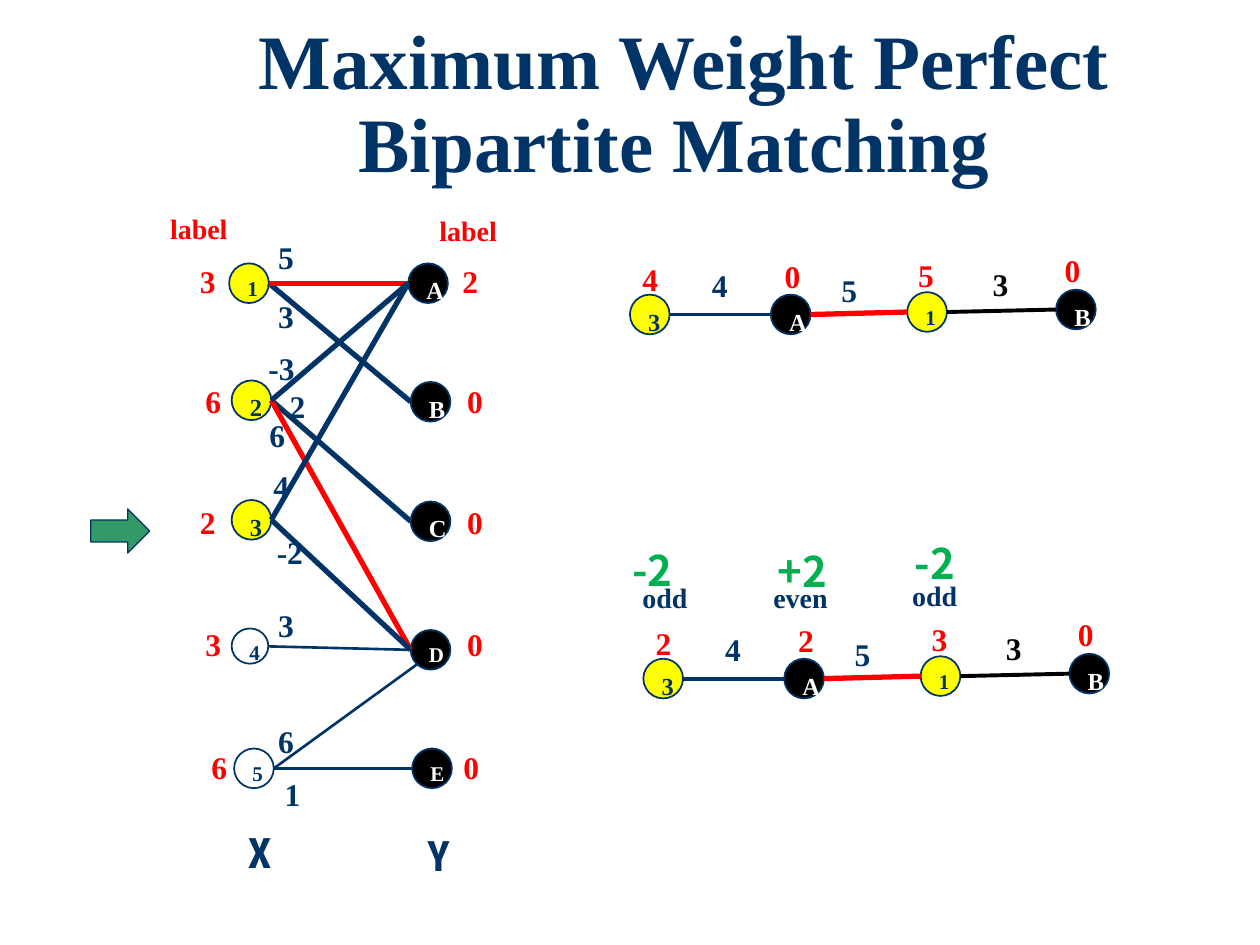
"""Build a slide on maximum weight perfect bipartite matching with its labelled graph and paths."""
import pptx
import pptx.dml.color
import pptx.enum.shapes
import pptx.enum.text
import pptx.oxml.ns
import pptx.util
from lxml import etree

Cm = pptx.util.Cm
Pt = pptx.util.Pt
COLORS = {"navy": "003366", "red": "FF0000", "black": "000000", "white": "FFFFFF",
          "yellow": "FFFF00", "green": "00B050", "arrow": "339966"}
RGB = {name: pptx.dml.color.RGBColor.from_string(value) for name, value in COLORS.items()}
SERIF = "Times New Roman"
NODE = 0.8


def write(shape, text, size, color, font=SERIF, wrap=False):
    frame = shape.text_frame
    frame.word_wrap = wrap
    frame.vertical_anchor = pptx.enum.text.MSO_ANCHOR.TOP
    paragraph = frame.paragraphs[0]
    paragraph.text = text
    paragraph.alignment = pptx.enum.text.PP_ALIGN.LEFT
    paragraph.font.size = Pt(size)
    paragraph.font.name = font
    paragraph.font.bold = True
    paragraph.font.color.rgb = RGB[color]
    return frame


def connect(start, end, color, width):
    line = slide.shapes.add_connector(pptx.enum.shapes.MSO_CONNECTOR.STRAIGHT,
                                      *[Cm(value) for value in (*start, *end)])
    line.line.color.rgb = RGB[color]
    line.line.width = Pt(width)
    etree.SubElement(line._element.spPr, pptx.oxml.ns.qn("a:effectLst"))


presentation = pptx.Presentation()
presentation.slide_width = Cm(25.4)
presentation.slide_height = Cm(19.05)
slide = presentation.slides.add_slide(presentation.slide_layouts[5])

title = slide.shapes.title
title.left, title.top, title.width, title.height = Cm(3.63), Cm(0.33), Cm(20.32), Cm(2.34)
title_frame = write(title, "Maximum Weight Perfect Bipartite Matching\u00a0".replace("\u00a0", " "), 44, "navy", wrap=True)
title_frame.auto_size = pptx.enum.text.MSO_AUTO_SIZE.NONE
title_frame.paragraphs[0].alignment = pptx.enum.text.PP_ALIGN.CENTER
title_frame.paragraphs[0].line_spacing = 0.9

# name, left, top, fill, text size
nodes = [
    ("1", 4.62, 5.31, "yellow", 12), ("A", 8.23, 5.31, "black", 14),
    ("2", 4.67, 7.67, "yellow", 14), ("B", 8.28, 7.7, "black", 14),
    ("3", 4.67, 10.08, "yellow", 14), ("C", 8.28, 10.11, "black", 14),
    ("4", 4.67, 12.67, "white", 12), ("D", 8.28, 12.7, "black", 12),
    ("5", 4.72, 15.09, "white", 12), ("E", 8.31, 15.09, "black", 12),
]
path_nodes = [("3", 12.7, 5.94, "yellow", 14), ("A", 15.54, 5.94, "black", 14),
              ("1", 18.29, 5.89, "yellow", 12), ("B", 21.29, 5.84, "black", 14)]
path_edges = [("navy", 2.25), ("red", 3), ("black", 2.25)]
path_weights = [("4", 14.1, 5.23, "navy"), ("5", 16.71, 5.33, "navy"), ("3", 19.76, 5.21, "black")]
path_label_spots = [(12.7, 5.11), (15.57, 5.05), (18.26, 5.03), (21.21, 4.93)]
paths = [(0, 0, "4050"), (0.27, 7.34, "2230")]

shifted_nodes = [(name, left + dx, top + dy, fill, size)
                 for dx, dy, labels in paths for name, left, top, fill, size in path_nodes]
for name, left, top, fill, size in nodes + shifted_nodes:
    width, height = (0.74, 0.71) if name == "4" else (NODE, NODE)
    node = slide.shapes.add_shape(pptx.enum.shapes.MSO_SHAPE.OVAL, Cm(left), Cm(top), Cm(width), Cm(height))
    node.shadow.inherit = False
    node.fill.solid()
    node.fill.fore_color.rgb = RGB[fill]
    node.line.color.rgb = RGB["navy"]
    node.line.width = Pt(1)
    write(node, name, size, "white" if fill == "black" else "navy")

ports = {name: (left + (NODE if name.isdigit() else 0), top + NODE / 2)
         for name, left, top, fill, size in nodes}
ports["4"] = (5.41, 13.03)
ports["D corner"] = (8.41, 13.39)
for start, end, color, width in [
    ("1", "B", "navy", 3), ("2", "C", "navy", 3), ("2", "D", "red", 3), ("3", "D", "navy", 3),
    ("3", "A", "navy", 3), ("4", "D", "navy", 1.5), ("5", "D corner", "navy", 1.5),
    ("5", "E", "navy", 1.5), ("1", "A", "red", 3), ("2", "A", "navy", 3),
]:
    connect(ports[start], ports[end], color, width)

weights = [("5", 5.36, 4.67), ("3", 5.36, 5.87), ("-3", 5.16, 6.91), ("2", 5.59, 7.67),
           ("6", 5.18, 8.26), ("4", 5.26, 9.3), ("-2", 5.33, 10.62), ("3", 5.36, 12.09),
           ("6", 5.36, 14.43), ("1", 5.49, 15.49)]
texts = [(text, left, top, 1.04 if len(text) > 1 else 0.84, 18, "navy", SERIF)
         for text, left, top in weights]
for top, x_label, x_left, y_label, y_left in [
    (5.16, "3", 3.78, "2", 9.07), (7.57, "6", 3.89, "0", 9.17), (10.01, "2", 3.78, "0", 9.17),
    (12.47, "3", 3.89, "0", 9.17), (14.96, "6", 4.01, "0", 9.09),
]:
    texts += [(x_label, x_left, top, 0.84, 18, "red", SERIF), (y_label, y_left, top, 0.84, 18, "red", SERIF)]
texts += [
    ("label", 3.18, 4.14, 1.68, 16, "red", SERIF), ("label", 8.61, 4.19, 1.68, 16, "red", SERIF),
    ("X", 4.75, 16.54, 1.02, 24, "navy", "Roboto Condensed"),
    ("Y", 8.36, 16.59, 0.99, 24, "navy", "Roboto Condensed"),
    ("-2", 18.19, 10.72, 1.7, 24, "green", "Noto Sans CJK KR"),
    ("+2", 15.42, 10.87, 1.52, 24, "green", "Noto Sans CJK KR"),
    ("-2", 12.5, 10.85, 1.7, 24, "green", "Noto Sans CJK KR"),
    ("odd", 18.14, 11.53, 1.42, 16, "navy", SERIF), ("even", 15.34, 11.58, 1.63, 16, "navy", SERIF),
    ("odd", 12.7, 11.58, 1.42, 16, "navy", SERIF),
]
for dx, dy, labels in paths:
    for first, second, (color, width) in zip(path_nodes, path_nodes[1:], path_edges):
        connect((first[1] + dx + NODE, first[2] + dy + NODE / 2),
                (second[1] + dx, second[2] + dy + NODE / 2), color, width)
    texts += [(label, left + dx, top + dy, 0.84, 18, "red", SERIF)
              for label, (left, top) in zip(labels, path_label_spots)]
    texts += [(text, left + dx, top + dy, 0.71 if color == "black" else 0.84, 18, color, SERIF)
              for text, left, top, color in path_weights]

heights = {16: 0.94, 18: 1.02, 24: 1.27}
for text, left, top, width, size, color, font in texts:
    box = slide.shapes.add_textbox(Cm(left), Cm(top), Cm(width), Cm(heights[size]))
    frame = write(box, text, size, color, font, wrap=color == "black")
    frame.auto_size = pptx.enum.text.MSO_AUTO_SIZE.SHAPE_TO_FIT_TEXT

arrow = slide.shapes.add_shape(pptx.enum.shapes.MSO_SHAPE.RIGHT_ARROW, Cm(1.83), Cm(10.26), Cm(1.19), Cm(0.89))
arrow.shadow.inherit = False
arrow.fill.solid()
arrow.fill.fore_color.rgb = RGB["arrow"]
arrow.line.color.rgb = RGB["navy"]
arrow.line.width = Pt(0.75)

presentation.save("out.pptx")
